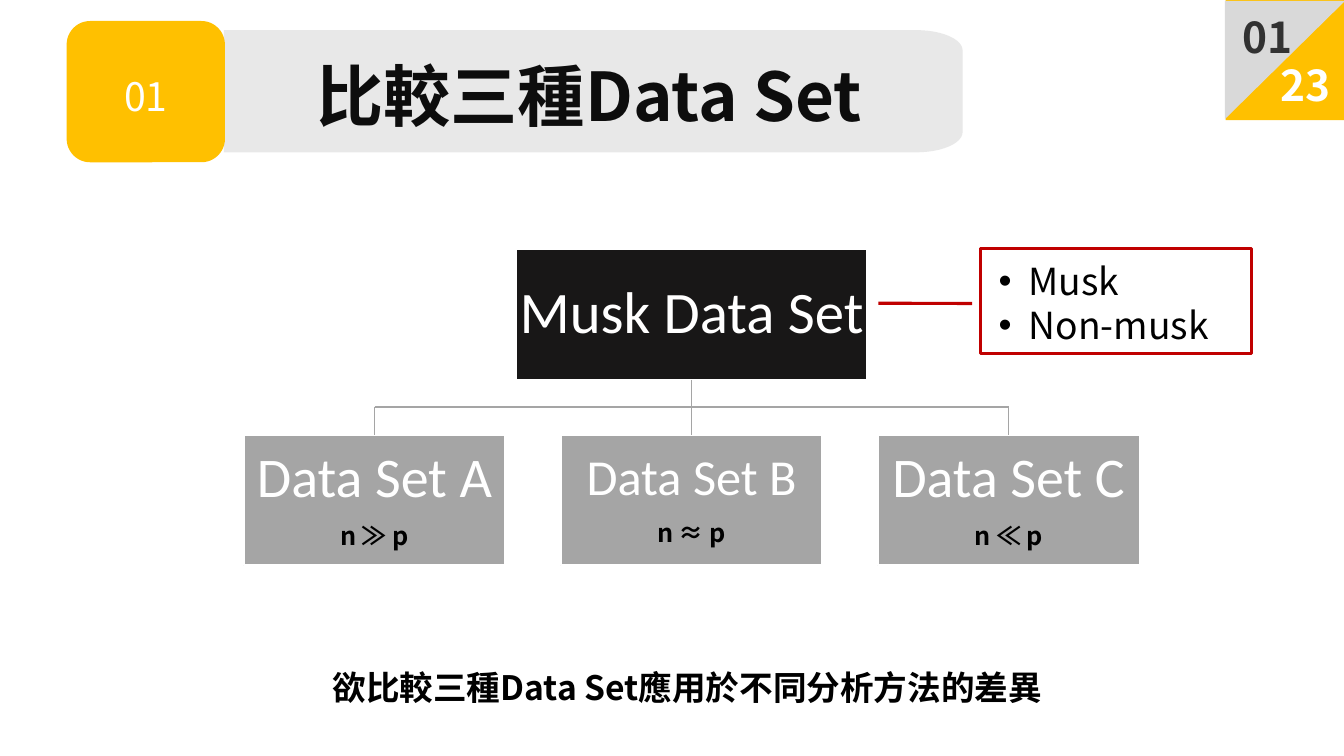
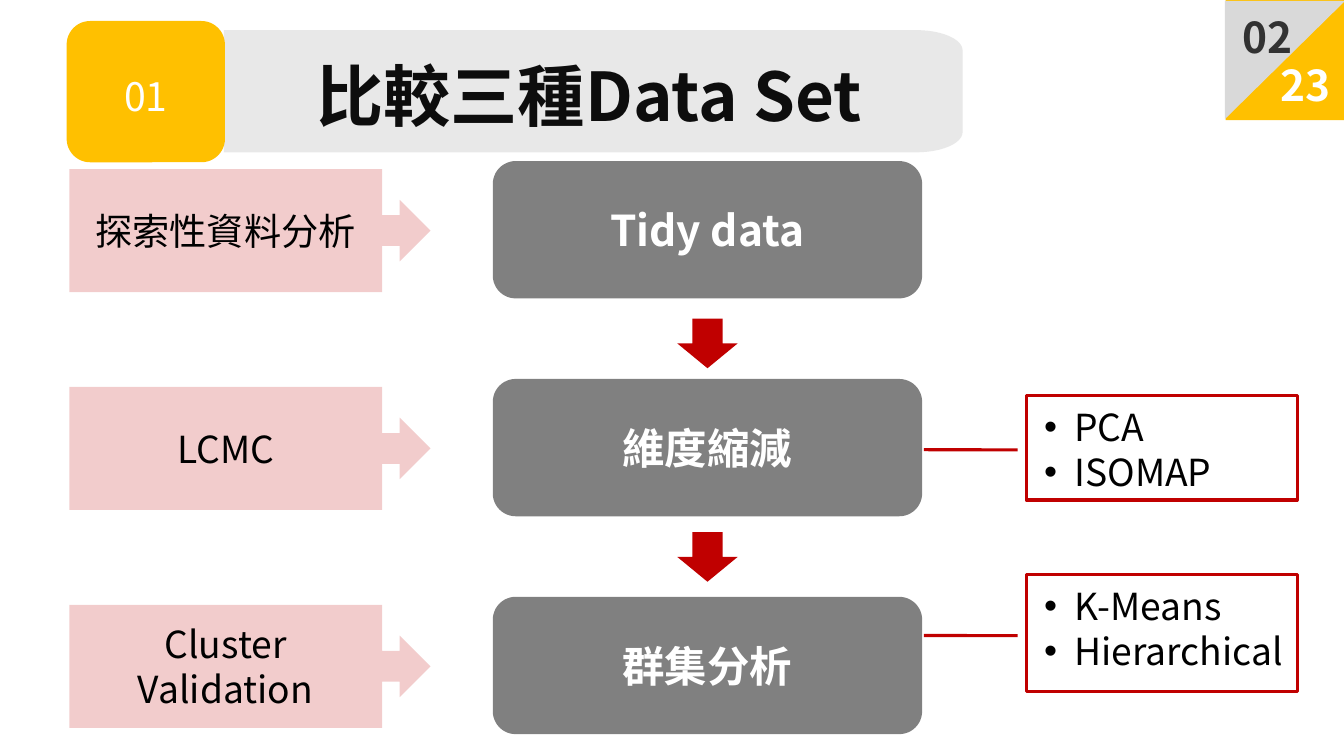
from math import cos, pi, sin

from lxml.etree import SubElement
from pptx import Presentation
from pptx.dml.color import RGBColor
from pptx.enum.shapes import MSO_CONNECTOR, MSO_SHAPE
from pptx.enum.text import MSO_ANCHOR, MSO_AUTO_SIZE, PP_ALIGN
from pptx.oxml.ns import qn
from pptx.util import Cm, Pt

SLIDE_WIDTH, SLIDE_HEIGHT = 33.87, 19.05
FONT = "Noto Sans CJK SC"
TREE_FONT = "Calibri"
BLACK, WHITE, INK = "000000", "FFFFFF", "0D0D0D"
YELLOW, RED = "FFC000", "C00000"
BAND, CORNER, CORNER_INK = "E6E6E6", "D9D9D9", "323232"
ROOT, BRANCH, STEP = "181717", "A5A5A5", "808080"

TITLE = "比較三種Data Set"
SECTION = "01"
PAGE_COUNT = "23"


def color(value):
    return RGBColor.from_string(value)


def paint(shape, fill=None, line=None, line_width=1, opacity=100):
    """Set fill, outline and opacity (percent), and drop the shadow."""
    shape.shadow.inherit = False
    if fill:
        shape.fill.solid()
        shape.fill.fore_color.rgb = color(fill)
        if opacity < 100:
            tint = shape.element.spPr.find(qn("a:solidFill"))[0]
            SubElement(tint, qn("a:alpha"), val=str(opacity * 1000))
    else:
        shape.fill.background()
    if line:
        shape.line.color.rgb = color(line)
        shape.line.width = Pt(line_width)
    else:
        shape.line.fill.background()


def add_box(slide, kind, left, top, width, height, **look):
    box = slide.shapes.add_shape(kind, Cm(left), Cm(top), Cm(width), Cm(height))
    paint(box, **look)
    return box


def place(shape, left, top, width, height):
    shape.left, shape.top = Cm(left), Cm(top)
    shape.width, shape.height = Cm(width), Cm(height)


def set_frame(shape, anchor=MSO_ANCHOR.MIDDLE, margin=None, wrap=True):
    frame = shape.text_frame
    frame.word_wrap = wrap
    frame.auto_size = MSO_AUTO_SIZE.NONE
    frame.vertical_anchor = anchor
    if margin is not None:
        frame.margin_left = frame.margin_right = Cm(margin)
        frame.margin_top = frame.margin_bottom = Cm(margin)
    return frame


def add_span(para, text, size, ink, bold=False, font=FONT):
    span = para.add_run()
    span.text = text
    span.font.size = Pt(size)
    span.font.bold = bold
    span.font.color.rgb = color(ink)
    span.font.name = font
    SubElement(span.font._element, qn("a:ea"), typeface=font)


def write(shape, text, size, ink, bold=False, font=FONT,
          align=PP_ALIGN.CENTER, **frame_options):
    """Write one paragraph in a shape and return it."""
    para = set_frame(shape, **frame_options).paragraphs[0]
    para.alignment = align
    add_span(para, text, size, ink, bold, font)
    return para


def add_label(slide, left, top, width, height, text, size, ink, **options):
    box = slide.shapes.add_textbox(Cm(left), Cm(top), Cm(width), Cm(height))
    write(box, text, size, ink, bold=True, align=PP_ALIGN.LEFT, **options)


def add_line(slide, start_x, start_y, end_x, end_y):
    line = slide.shapes.add_connector(
        MSO_CONNECTOR.STRAIGHT, Cm(start_x), Cm(start_y), Cm(end_x), Cm(end_y))
    line.line.color.rgb = color(BRANCH)
    line.line.width = Pt(1)
    SubElement(line.element.spPr, qn("a:effectLst"))
    return line


def add_title_band(slide):
    """Draw the band whose two right corners are elliptical."""
    left, top, right, bottom = 5.64, 0.76, 24.26, 3.84
    radius_x, radius_y, parts = 1.17, 0.51, 12
    angles = [pi / 2 * index / parts for index in range(parts + 1)]
    upper = [(right - radius_x * (1 - sin(angle)),
              top + radius_y * (1 - cos(angle))) for angle in angles]
    lower = [(x, top + bottom - y) for x, y in reversed(upper)]
    outline = slide.shapes.build_freeform(Cm(left), Cm(top))
    outline.add_line_segments(
        [(Cm(x), Cm(y)) for x, y in upper + lower + [(left, bottom)]])
    paint(outline.convert_to_shape(), BAND, opacity=90)


def add_header(slide):
    add_title_band(slide)
    badge = add_box(slide, MSO_SHAPE.ROUNDED_RECTANGLE,
                    1.68, 0.53, 3.99, 3.56, fill=YELLOW)
    para = write(badge, SECTION, 28, WHITE, margin=0)
    para.line_spacing = 1.2

    title = slide.shapes.title
    place(title, 7.06, 1.35, 15.57, 2.06)
    write(title, TITLE, 48, INK, bold=True, margin=0)
    title.element.getparent().append(title.element)


def add_page_corner(slide, number):
    side = 2.98
    left = SLIDE_WIDTH - side
    add_box(slide, MSO_SHAPE.RECTANGLE, left, 0, side, side + 0.05, fill=YELLOW)
    triangle = add_box(slide, MSO_SHAPE.RIGHT_TRIANGLE,
                       left, 0, side, side + 0.05, fill=CORNER)
    triangle.rotation = 90
    for x, y, text, ink in ((31.06, 0.15, f"{number:02}", CORNER_INK),
                            (32.03, 1.35, PAGE_COUNT, WHITE)):
        add_label(slide, x, y, 1.8, 1.55, text, 30.3, ink, wrap=False)


def add_callout_list(slide, body, left, top, height, items):
    """Frame a bulleted body placeholder with a red callout."""
    callout = add_box(slide, MSO_SHAPE.LINE_CALLOUT_1, left, top, 6.83, height,
                      line=RED, line_width=2.25)
    for index, value in enumerate((0.522, -0.031, 0.52, -0.377)):
        callout.adjustments[index] = value
    place(body, left + 0.2, top + 0.1, 6.6, height - 0.15)
    frame = set_frame(body, anchor=MSO_ANCHOR.TOP)
    frame.margin_right = 0
    for index, item in enumerate(items):
        para = frame.add_paragraph() if index else frame.paragraphs[0]
        para.space_before = Pt(0)
        properties = para._p.get_or_add_pPr()
        properties.set("marL", str(Cm(0.76)))
        properties.set("indent", str(Cm(-0.76)))
        SubElement(properties, qn("a:buFont"), typeface="Arial")
        SubElement(properties, qn("a:buChar"), char="•")
        add_span(para, item, 26.6, BLACK)


def add_tree_node(slide, left, top, width, fill, name, size, relation=None):
    node = add_box(slide, MSO_SHAPE.RECTANGLE, left, top, width, 3.3,
                   fill=fill, line=WHITE, line_width=1.5)
    para = write(node, name, size, WHITE, font=TREE_FONT, margin=0.07)
    para.line_spacing = 0.9
    if relation:
        para.space_after = Pt(10)
        para = node.text_frame.add_paragraph()
        para.alignment = PP_ALIGN.CENTER
        para.line_spacing = 0.9
        add_span(para, relation, 18, BLACK, bold=True)
    return node


def add_data_set_tree(slide):
    center, pitch, width, root_width = 17.43, 7.99, 6.6, 8.84
    root_bottom, bus, branch_top = 9.57, 10.26, 10.95
    root = add_tree_node(slide, center - root_width / 2, root_bottom - 3.3,
                         root_width, ROOT, "Musk Data Set", 42)
    add_line(slide, center - pitch, bus, center + pitch, bus)
    branches = (("Data Set A", 40, "n ≫ p"),
                ("Data Set B", 36, "n ≈ p"),
                ("Data Set C", 40, "n ≪ p"))
    for index, (name, size, relation) in enumerate(branches):
        middle = center + (index - 1) * pitch
        node = add_tree_node(slide, middle - width / 2, branch_top, width,
                             BRANCH, name, size, relation)
        line = add_line(slide, middle, bus, middle, branch_top)
        if middle == center:
            line.begin_connect(root, 2)
        line.end_connect(node, 0)


def add_process(slide):
    steps = (("探索性資料分析", "Tidy data"),
             ("LCMC", "維度縮減"),
             ("Cluster Validation", "群集分析"))
    for index, (method, step) in enumerate(steps):
        top = 4.06 + index * 5.49
        box = add_box(slide, MSO_SHAPE.ROUNDED_RECTANGLE,
                      12.42, top, 10.82, 3.46, fill=STEP)
        write(box, step, 30.3, WHITE, bold=True)
        pointer = add_box(slide, MSO_SHAPE.RIGHT_ARROW_CALLOUT,
                          1.75, top + 0.2, 9.1, 3.1, fill=RED, opacity=20)
        pointer.adjustments[3] = 0.866
        write(pointer, method, 26.6, BLACK)
    for top in (8.03, 13.41):
        add_box(slide, MSO_SHAPE.DOWN_ARROW, 17.07, top, 1.52, 1.25, fill=RED)


def add_slide(deck, layout, number):
    page = deck.slides.add_slide(deck.slide_layouts[layout])
    add_header(page)
    add_page_corner(page, number)
    return page


def main():
    deck = Presentation()
    deck.slide_width, deck.slide_height = Cm(SLIDE_WIDTH), Cm(SLIDE_HEIGHT)

    comparison = add_slide(deck, 1, 1)
    add_data_set_tree(comparison)
    add_callout_list(comparison, comparison.placeholders[1],
                     24.71, 6.27, 2.64, ("Musk", "Non-musk"))
    add_label(comparison, 8.13, 16.69, 18.62, 1.27,
              "欲比較三種Data Set應用於不同分析方法的差異", 24, BLACK,
              anchor=MSO_ANCHOR.TOP)

    process = add_slide(deck, 3, 2)
    add_process(process)
    add_callout_list(process, process.placeholders[1],
                     25.86, 9.96, 2.64, ("PCA", "ISOMAP"))
    add_callout_list(process, process.placeholders[2],
                     25.86, 14.48, 2.95, ("K-Means", "Hierarchical"))

    deck.save("out.pptx")


if __name__ == "__main__":
    main()
